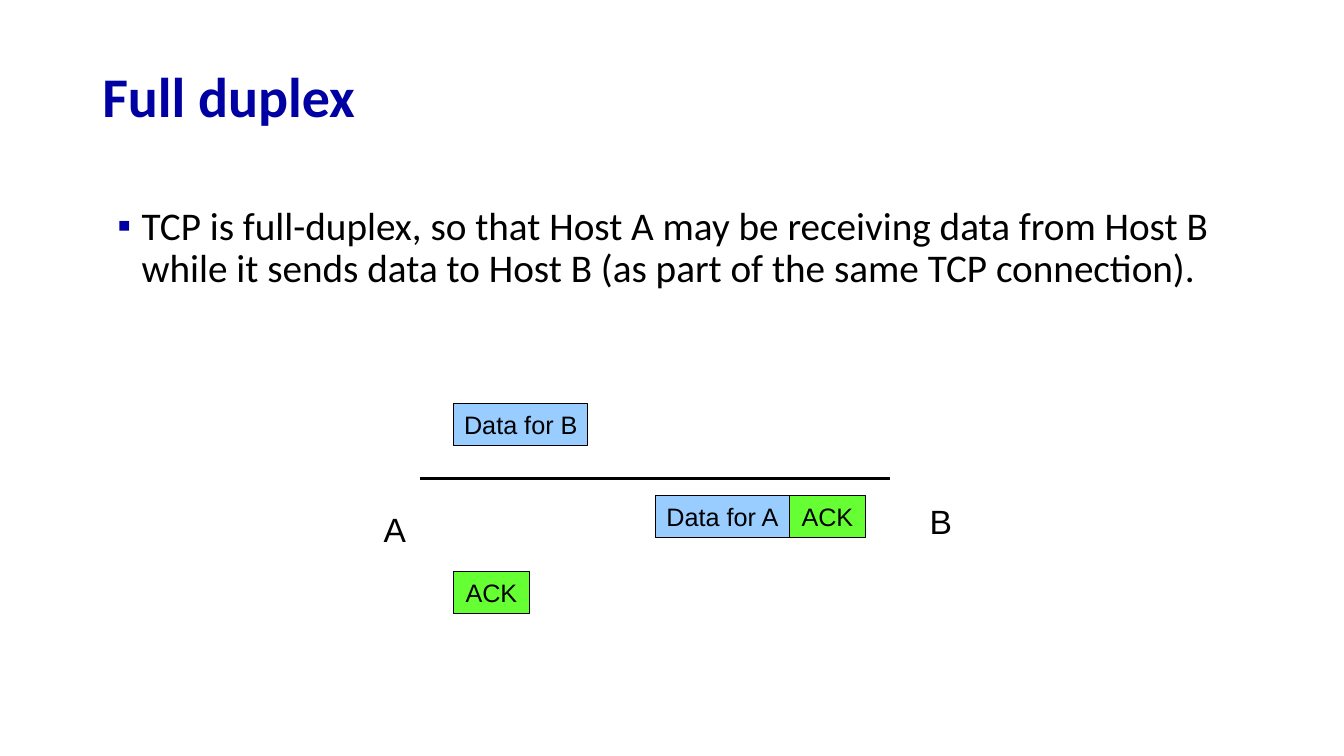
import pptx
import pptx.util
import pptx.dml.color
import pptx.enum.shapes
import pptx.enum.text
import pptx.oxml.ns
from lxml import etree

COLORS = {"navy": "0000A3", "black": "000000", "data": "99CCFF", "ack": "66FF33"}

COLUMNS, ROWS = 160, 90
CELL = pptx.util.Inches(1) / 12

HEADING = ("Full duplex", (11, 5.9, 138, 11.75))
STATEMENT = (
    "TCP is full-duplex, so that Host A may be receiving data from Host B "
    "while it sends data to Host B (as part of the same TCP connection).",
    (11, 24, 138, 57),
)
HOSTS = [("A", 43, 60), ("B", 108, 59)]
HOST_SIZE = (8, 6)
TIMELINE = (50, 106, 57)
SEGMENTS = [
    ("Data for B", "data", 54, 48),
    ("Data for A", "data", 78, 59),
    ("ACK", "ack", 94, 59),
    ("ACK", "ack", 54, 68),
]
SEGMENT_COLUMNS = {"data": 16, "ack": 9}
SEGMENT_ROWS = 5


def cells(*counts):
    return [round(count * CELL) for count in counts]


def rgb(name):
    return pptx.dml.color.RGBColor.from_string(COLORS[name])


def write(shape, text, font, size, color="black", bold=False, centred=False,
          anchor=pptx.enum.text.MSO_ANCHOR.TOP, wrap=True):
    frame = shape.text_frame
    frame.text = text
    frame.word_wrap = wrap
    frame.vertical_anchor = anchor
    paragraph = frame.paragraphs[0]
    if centred:
        paragraph.alignment = pptx.enum.text.PP_ALIGN.CENTER
    run_font = paragraph.runs[0].font
    run_font.name = font
    run_font.size = pptx.util.Pt(size)
    run_font.bold = bold
    run_font.color.rgb = rgb(color)
    return paragraph


def add_bullet(paragraph, symbol, color):
    properties = paragraph._p.get_or_add_pPr()
    properties.set("marL", str(pptx.util.Inches(0.39)))
    properties.set("indent", str(pptx.util.Inches(-0.24)))
    qn = pptx.oxml.ns.qn
    tint = etree.SubElement(properties, qn("a:buClr"))
    etree.SubElement(tint, qn("a:srgbClr"), val=COLORS[color])
    etree.SubElement(properties, qn("a:buFont"), typeface="Arial")
    etree.SubElement(properties, qn("a:buChar"), char=symbol)


def main():
    deck = pptx.Presentation()
    deck.slide_width, deck.slide_height = cells(COLUMNS, ROWS)
    slide = deck.slides.add_slide(deck.slide_layouts[6])
    shapes = slide.shapes
    middle = pptx.enum.text.MSO_ANCHOR.MIDDLE

    text, area = HEADING
    heading = write(shapes.add_textbox(*cells(*area)), text, "Calibri", 40,
                    color="navy", bold=True, anchor=middle)
    heading.line_spacing = 0.9

    text, area = STATEMENT
    statement = write(shapes.add_textbox(*cells(*area)), text, "Calibri", 28)
    statement.line_spacing = 0.9
    add_bullet(statement, "▪", "navy")

    start, end, row = TIMELINE
    timeline = shapes.add_connector(
        pptx.enum.shapes.MSO_CONNECTOR.STRAIGHT, *cells(start, row, end, row))
    timeline.line.color.rgb = rgb("black")
    timeline.line.width = pptx.util.Pt(2.25)
    etree.SubElement(timeline._element.spPr, pptx.oxml.ns.qn("a:effectLst"))

    for host, column, row in HOSTS:
        write(shapes.add_textbox(*cells(column, row, *HOST_SIZE)), host,
              "Arial", 24, centred=True)

    for label, kind, column, row in SEGMENTS:
        segment = shapes.add_shape(
            pptx.enum.shapes.MSO_SHAPE.RECTANGLE,
            *cells(column, row, SEGMENT_COLUMNS[kind], SEGMENT_ROWS))
        segment.shadow.inherit = False
        segment.fill.solid()
        segment.fill.fore_color.rgb = rgb(kind)
        segment.line.color.rgb = rgb("black")
        segment.line.width = pptx.util.Pt(0.75)
        write(segment, label, "Arial", 18, centred=True, anchor=middle, wrap=False)

    deck.save("out.pptx")


if __name__ == "__main__":
    main()
